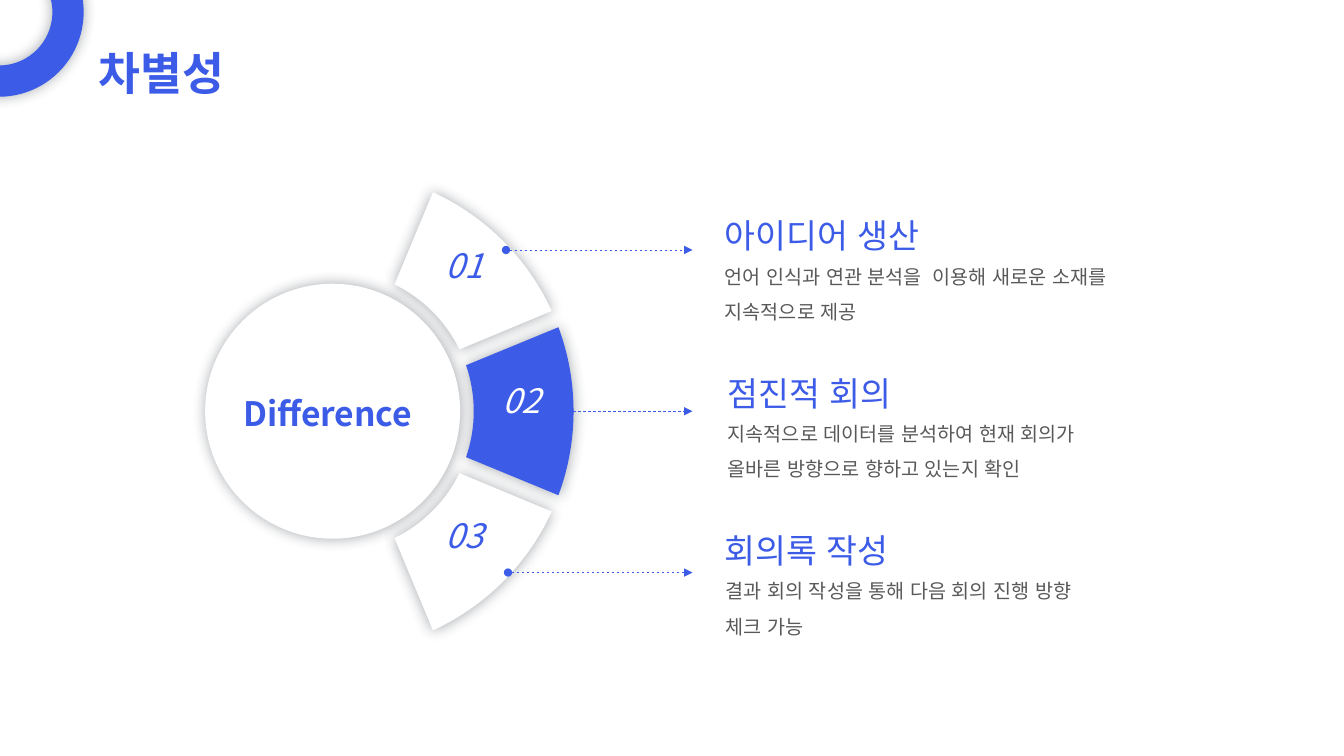
from math import cos, radians, sin, tan

from lxml.etree import SubElement
from pptx import Presentation
from pptx.dml.color import RGBColor
from pptx.enum.dml import MSO_LINE
from pptx.enum.lang import MSO_LANGUAGE_ID as Language
from pptx.enum.shapes import MSO_CONNECTOR as Connector, MSO_SHAPE as Shape
from pptx.enum.text import MSO_ANCHOR as Anchor, MSO_AUTO_SIZE as AutoSize, PP_ALIGN as Align
from pptx.oxml.ns import qn
from pptx.util import Inches, Pt

FONT = "Noto Sans CJK KR"
COLORS = {"blue": "3C5CE8", "white": "FFFFFF", "gray": "595959", "shadow": "222A35"}
TITLE = "차별성"
HUB = "Difference"
ITEMS = [
    {"number": "01", "heading": "아이디어 생산",
     "body": "언어 인식과 연관 분석을  이용해 새로운 소재를 지속적으로 제공",
     "fill": "white", "ink": "blue", "number_left": 4.22, "arrow_left": 5.02,
     "heading_box": (6.92, 3.83), "body_box": (6.92, 4.75)},
    {"number": "02", "heading": "점진적 회의",
     "body": "지속적으로 데이터를 분석하여 현재 회의가 올바른 방향으로 향하고 있는지 확인",
     "fill": "blue", "ink": "white", "number_left": 4.79, "arrow_left": 5.65,
     "heading_box": (6.95, 2.69), "body_box": (6.95, 4.35)},
    {"number": "03", "heading": "회의록 작성",
     "body": "결과 회의 작성을 통해 다음 회의 진행 방향 체크 가능",
     "fill": "white", "ink": "blue", "number_left": 4.22, "arrow_left": 5.04,
     "heading_box": (6.92, 5.37), "body_box": (6.93, 4.25)},
]

CENTER_X, CENTER_Y = 3.3, 4.08
HUB_SIZE = 2.53
INNER_RADIUS, OUTER_RADIUS = 1.4, 2.39
INNER_HALF, OUTER_HALF = 19, 20.4
WEDGE_STEP = 45
ARROW_RIGHT, ARROW_PITCH = 6.87, 1.6
NUMBER_TOP, NUMBER_PITCH = 2.43, 1.34
HEADING_TOP, HEADING_PITCH, BODY_DROP = 2, 1.56, 0.38
BOX_HEIGHT = 0.67
PADDING = (0.27, 0.13)
RING_SIZE, RING_BAND = 1.68, 0.31

presentation = Presentation()
presentation.slide_width, presentation.slide_height = Inches(13.333), Inches(7.5)
slide = presentation.slides.add_slide(presentation.slide_layouts[6])


def rgb(name):
    return RGBColor.from_string(COLORS[name])


def style_shape(shape, fill):
    shape.fill.solid()
    shape.fill.fore_color.rgb = rgb(fill)
    shape.line.fill.background()
    shape.shadow.inherit = False
    effects = shape._element.spPr.find(qn("a:effectLst"))
    shadow = SubElement(effects, qn("a:outerShdw"), blurRad=str(Pt(10)), dist="0",
                        dir="0", algn="ctr", rotWithShape="0")
    color = SubElement(shadow, qn("a:srgbClr"), val=COLORS["shadow"])
    SubElement(color, qn("a:alpha"), val="40000")


def add_text(text, box, size, color, padding=PADDING, align=Align.LEFT, anchor=Anchor.TOP,
             bold=False, italic=False, grow=True):
    frame = slide.shapes.add_textbox(*map(Inches, box)).text_frame
    frame.word_wrap = True
    frame.auto_size = AutoSize.SHAPE_TO_FIT_TEXT if grow else AutoSize.NONE
    frame.vertical_anchor = anchor
    frame.margin_left = frame.margin_right = Inches(padding[0])
    frame.margin_top = frame.margin_bottom = Inches(padding[1])
    paragraph = frame.paragraphs[0]
    paragraph.alignment = align
    run = paragraph.add_run()
    run.text = text
    font = run.font
    font.name, font.size, font.bold, font.italic = FONT, Pt(size), bold, italic
    font.language_id = Language.KOREAN
    font.color.rgb = rgb(color)
    properties = run._r.get_or_add_rPr()
    properties.set("kern", "0")
    SubElement(properties, qn("a:ea"), typeface=FONT)
    return paragraph


def arc_points(radius, start, end):
    start, end = radians(start), radians(end)
    reach = 4 / 3 * tan((end - start) / 4)

    def place(angle, pull):
        return (Inches(CENTER_X + radius * (cos(angle) - pull * sin(angle))),
                Inches(CENTER_Y + radius * (sin(angle) + pull * cos(angle))))

    return [place(start, 0), place(start, reach), place(end, -reach), place(end, 0)]


def add_wedge(middle, fill):
    outer = arc_points(OUTER_RADIUS, middle - OUTER_HALF, middle + OUTER_HALF)
    inner = arc_points(INNER_RADIUS, middle + INNER_HALF, middle - INNER_HALF)
    builder = slide.shapes.build_freeform(*outer[0])
    builder.add_line_segments(outer[1:] + inner, close=True)
    wedge = builder.convert_to_shape()
    segments = list(wedge._element.iter(qn("a:lnTo")))
    for arc in (segments[:3], segments[4:7]):
        outline = arc[0].getparent()
        curve = SubElement(outline, qn("a:cubicBezTo"))
        outline.insert(outline.index(arc[0]), curve)
        for segment in arc:
            curve.append(segment[0])
            outline.remove(segment)
    style_shape(wedge, fill)


def add_arrow(left, y):
    arrow = slide.shapes.add_connector(
        Connector.STRAIGHT, Inches(left), Inches(y), Inches(ARROW_RIGHT), Inches(y))
    arrow.line.color.rgb = rgb("blue")
    arrow.line.width = Pt(0.5)
    arrow.line.dash_style = MSO_LINE.DASH
    line = arrow.line._get_or_add_ln()
    SubElement(line, qn("a:headEnd"), type="oval")
    SubElement(line, qn("a:tailEnd"), type="triangle")
    SubElement(arrow._element.spPr, qn("a:effectLst"))


def add_hub():
    corner = (CENTER_X - HUB_SIZE / 2, CENTER_Y - HUB_SIZE / 2)
    hub = slide.shapes.add_shape(Shape.OVAL, *map(Inches, (*corner, HUB_SIZE, HUB_SIZE)))
    style_shape(hub, "white")
    add_text(HUB, (2, 3.76, 2.5, BOX_HEIGHT), 24, "blue",
             align=Align.CENTER, anchor=Anchor.MIDDLE, bold=True)


def add_item(row, item):
    offset = row - 1
    add_wedge(offset * WEDGE_STEP, item["fill"])
    add_arrow(item["arrow_left"], CENTER_Y + offset * ARROW_PITCH)
    add_text(item["number"],
             (item["number_left"], NUMBER_TOP + row * NUMBER_PITCH, 0.77, 0.4),
             24, item["ink"], padding=(0, 0), align=Align.CENTER, italic=True)
    top = HEADING_TOP + row * HEADING_PITCH
    left, width = item["heading_box"]
    add_text(item["heading"], (left, top, width, BOX_HEIGHT), 24, "blue", anchor=Anchor.MIDDLE)
    left, width = item["body_box"]
    paragraph = add_text(item["body"], (left, top + BODY_DROP, width, BOX_HEIGHT),
                         14, "gray", grow=False)
    paragraph.line_spacing = 1.5
    paragraph.space_before = Pt(3)


for row, item in enumerate(ITEMS):
    add_item(row, item)
    if row == 0:
        add_hub()

ring = slide.shapes.add_shape(
    Shape.DONUT, *map(Inches, (-0.85, -0.72, RING_SIZE, RING_SIZE)))
ring.adjustments[0] = RING_BAND / RING_SIZE
style_shape(ring, "blue")
add_text(TITLE, (0.88, 0.4, 4.62, 0.65), 32.5, "blue", padding=(0.1, 0.05), bold=True)

presentation.save("out.pptx")
